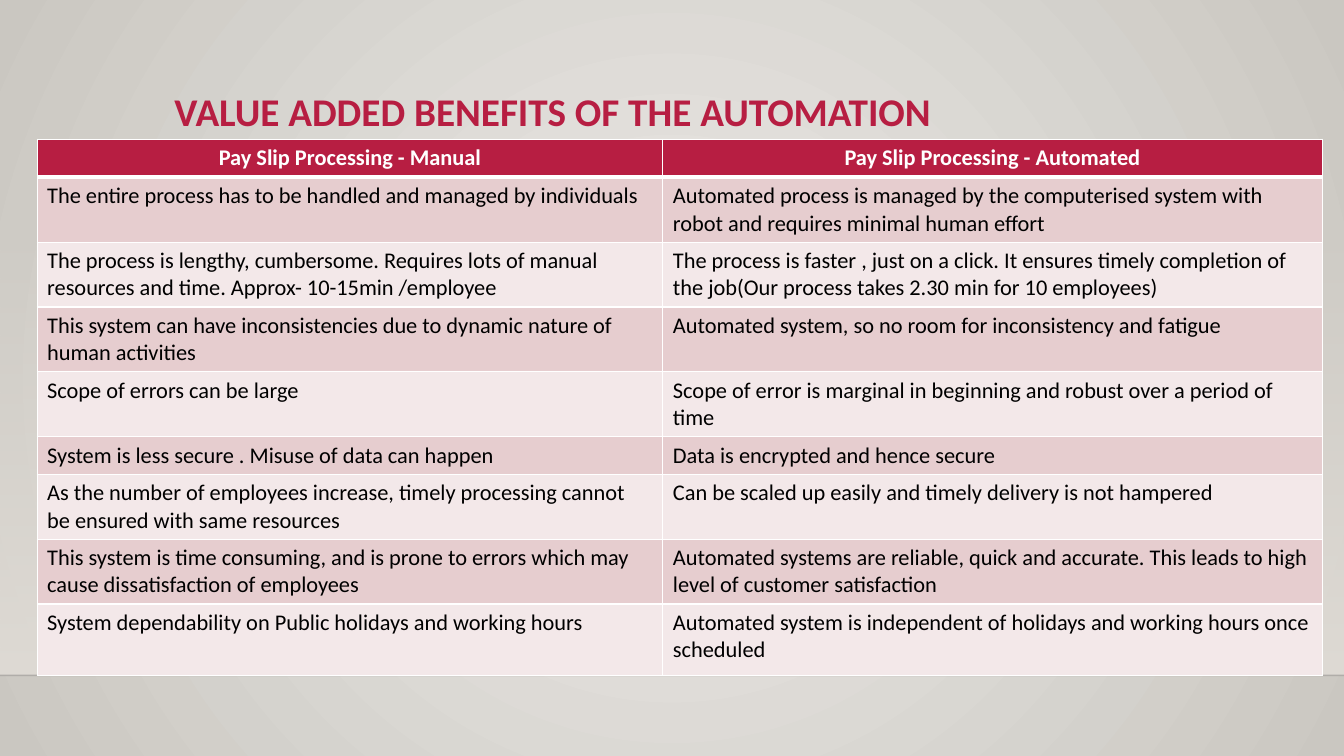
from typing import NamedTuple

from lxml.etree import SubElement
from pptx import Presentation
from pptx.dml.color import RGBColor
from pptx.enum.shapes import MSO_CONNECTOR, MSO_SHAPE
from pptx.enum.text import MSO_ANCHOR, PP_ALIGN
from pptx.oxml.ns import qn
from pptx.slide import Slide
from pptx.table import _Cell
from pptx.util import Pt

CRIMSON = RGBColor(0xB7, 0x1E, 0x42)
WHITE = RGBColor(0xFF, 0xFF, 0xFF)
BLACK = RGBColor(0x00, 0x00, 0x00)
HORIZON = RGBColor(0x00, 0x00, 0x01)
ROSE = RGBColor(0xE6, 0xCD, 0xCF)
PALE_ROSE = RGBColor(0xF3, 0xE8, 0xE9)
GLOW = RGBColor(0xEC, 0xEA, 0xE7)
STONE = RGBColor(0xCA, 0xC7, 0xC1)
FLOOR = RGBColor(0xDF, 0xDB, 0xD5)

FONT = "Calibri"
SLIDE_WIDTH, SLIDE_HEIGHT = Pt(960), Pt(540)
HORIZON_TOP = Pt(482.4)
COLUMN_WIDTHS = (Pt(447), Pt(471))


class Benefit(NamedTuple):
    manual: str
    automated: str
    height: float = 46.2


HEADINGS = Benefit("Pay Slip Processing - Manual", "Pay Slip Processing - Automated", 27.2)
BENEFITS = [
    Benefit("The entire process has to be handled and managed by individuals",
            "Automated process is managed by the computerised system with robot and requires minimal human effort"),
    Benefit("The process is lengthy, cumbersome. Requires lots of manual resources and time. Approx- 10-15min /employee",
            "The process is faster , just on a click. It ensures timely completion of the job(Our process takes 2.30 min for 10 employees)"),
    Benefit("This system can have inconsistencies due to dynamic nature of human activities",
            "Automated system, so no room for inconsistency and fatigue"),
    Benefit("Scope of errors can be large",
            "Scope of error is marginal in beginning and robust over a period of time"),
    Benefit("System is less secure . Misuse of data can happen",
            "Data is encrypted and hence secure", 26.4),
    Benefit("As the number of employees increase, timely processing cannot be ensured with same resources",
            "Can be scaled up easily and timely delivery is not hampered"),
    Benefit("This system is time consuming, and is prone to errors which may cause dissatisfaction of employees",
            "Automated systems are reliable, quick and accurate. This leads to high level of customer satisfaction"),
    Benefit("System dependability on Public holidays and working hours",
            "Automated system is independent of holidays and working hours once scheduled", 51),
]


def paint_background(slide: Slide) -> None:
    fill = slide.background.fill
    fill.gradient()
    for stop, color in zip(fill.gradient_stops, (GLOW, STONE)):
        stop.color.rgb = color
    gradient = slide.element.find(".//" + qn("a:gradFill"))
    gradient.remove(gradient.find(qn("a:lin")))
    circle = SubElement(gradient, qn("a:path"), path="circle")
    SubElement(circle, qn("a:fillToRect"), l="50000", t="50000", r="50000", b="50000")


def add_floor(slide: Slide) -> None:
    """Add the band that fades in downwards and the faint line below it."""
    top = Pt(159)
    band = slide.shapes.add_shape(MSO_SHAPE.RECTANGLE, 0, top, SLIDE_WIDTH, HORIZON_TOP - top)
    band.shadow.inherit = False
    band.line.fill.background()
    band.fill.gradient()
    band.fill.gradient_angle = 270
    for stop in band.fill.gradient_stops:
        stop.color.rgb = FLOOR
    SubElement(band.element.find(".//" + qn("a:srgbClr")), qn("a:alpha"), val="0")

    horizon = slide.shapes.add_connector(
        MSO_CONNECTOR.STRAIGHT, 0, HORIZON_TOP, SLIDE_WIDTH, HORIZON_TOP)
    horizon.line.width = Pt(1)
    horizon.line.color.rgb = HORIZON
    SubElement(horizon.element.find(".//" + qn("a:srgbClr")), qn("a:alpha"), val="20000")
    SubElement(horizon.element.spPr, qn("a:effectLst"))


def add_title(slide: Slide) -> None:
    title = slide.shapes.title
    title.left, title.top, title.width, title.height = Pt(117.4), Pt(62.6), Pt(750), Pt(44)
    frame = title.text_frame
    frame.text = "VALUE ADDED BENEFITS OF THE AUTOMATION"
    frame.word_wrap = True
    frame.vertical_anchor = MSO_ANCHOR.TOP
    paragraph = frame.paragraphs[0]
    paragraph.alignment = PP_ALIGN.LEFT
    paragraph.line_spacing = 0.9
    font = paragraph.runs[0].font
    font.name, font.size, font.bold = FONT, Pt(28), True
    font.color.rgb = CRIMSON


def set_borders(cell: _Cell, top: float, bottom: float) -> None:
    properties = cell._tc.get_or_add_tcPr()
    for side, width in (("L", 1), ("R", 1), ("T", top), ("B", bottom)):
        border = SubElement(properties, qn(f"a:ln{side}"), w=str(Pt(width)))
        SubElement(SubElement(border, qn("a:solidFill")), qn("a:srgbClr"), val=str(WHITE))


def fill_cell(cell: _Cell, wording: str, row: int) -> None:
    is_heading = row == 0
    set_borders(cell, top=3 if row == 1 else 1, bottom=3 if is_heading else 1)
    cell.fill.solid()
    cell.fill.fore_color.rgb = CRIMSON if is_heading else ROSE if row % 2 else PALE_ROSE
    cell.text_frame.text = wording
    paragraph = cell.text_frame.paragraphs[0]
    paragraph.alignment = PP_ALIGN.CENTER if is_heading else PP_ALIGN.LEFT
    font = paragraph.runs[0].font
    font.name, font.size, font.bold = FONT, Pt(16), is_heading
    font.color.rgb = WHITE if is_heading else BLACK


def add_comparison(slide: Slide) -> None:
    lines = [HEADINGS, *BENEFITS]
    height = Pt(sum(line.height for line in lines))
    table = slide.shapes.add_table(
        len(lines), len(COLUMN_WIDTHS), Pt(26.5), Pt(99.4), sum(COLUMN_WIDTHS), height).table
    for column, width in zip(table.columns, COLUMN_WIDTHS):
        column.width = width
    for row, line in enumerate(lines):
        table.rows[row].height = Pt(line.height)
        for column, wording in enumerate((line.manual, line.automated)):
            fill_cell(table.cell(row, column), wording, row)


def main() -> None:
    presentation = Presentation()
    presentation.slide_width, presentation.slide_height = SLIDE_WIDTH, SLIDE_HEIGHT
    slide = presentation.slides.add_slide(presentation.slide_layouts.get_by_name("Title Only"))
    paint_background(slide)
    add_floor(slide)
    add_title(slide)
    add_comparison(slide)
    presentation.save("out.pptx")


if __name__ == "__main__":
    main()
